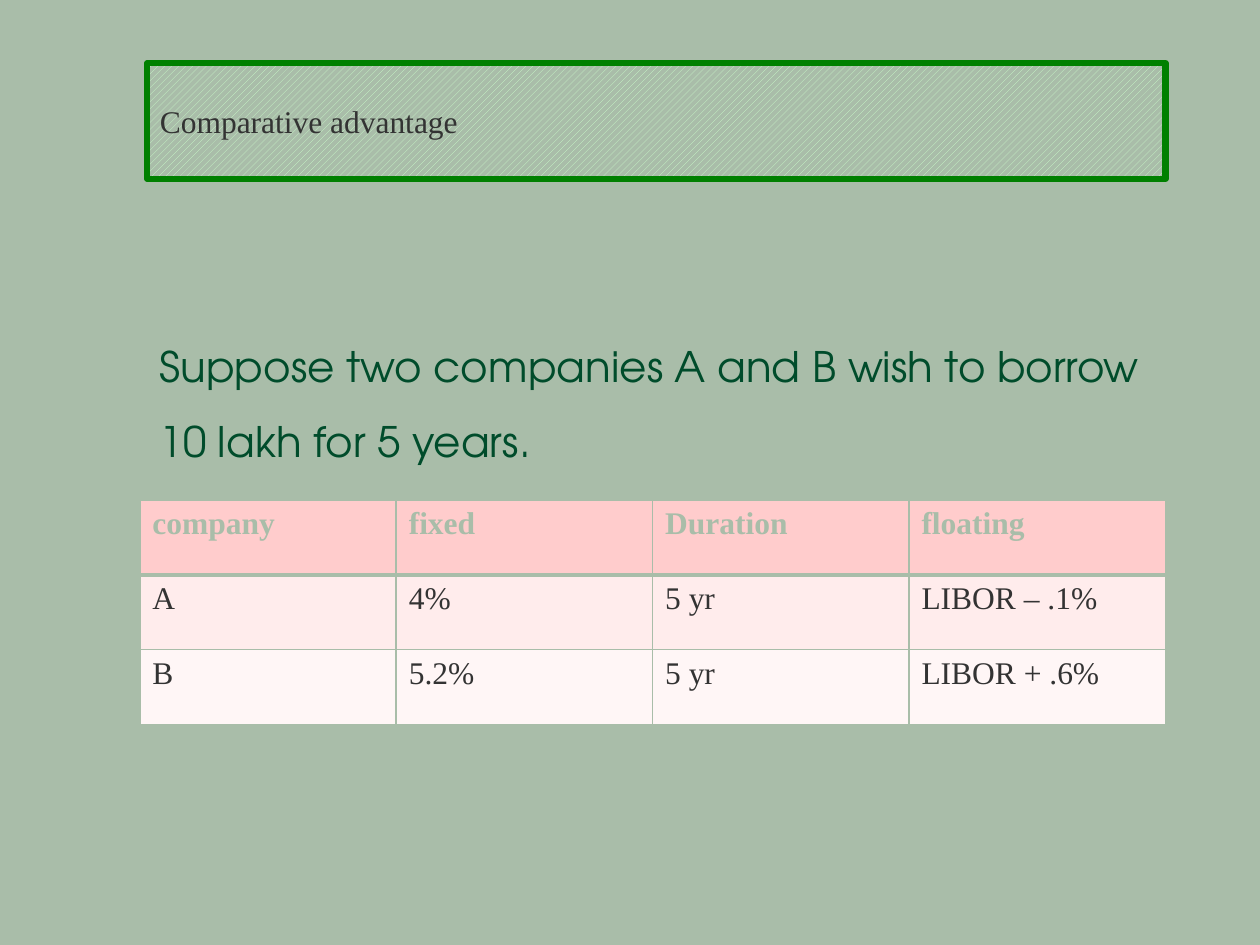
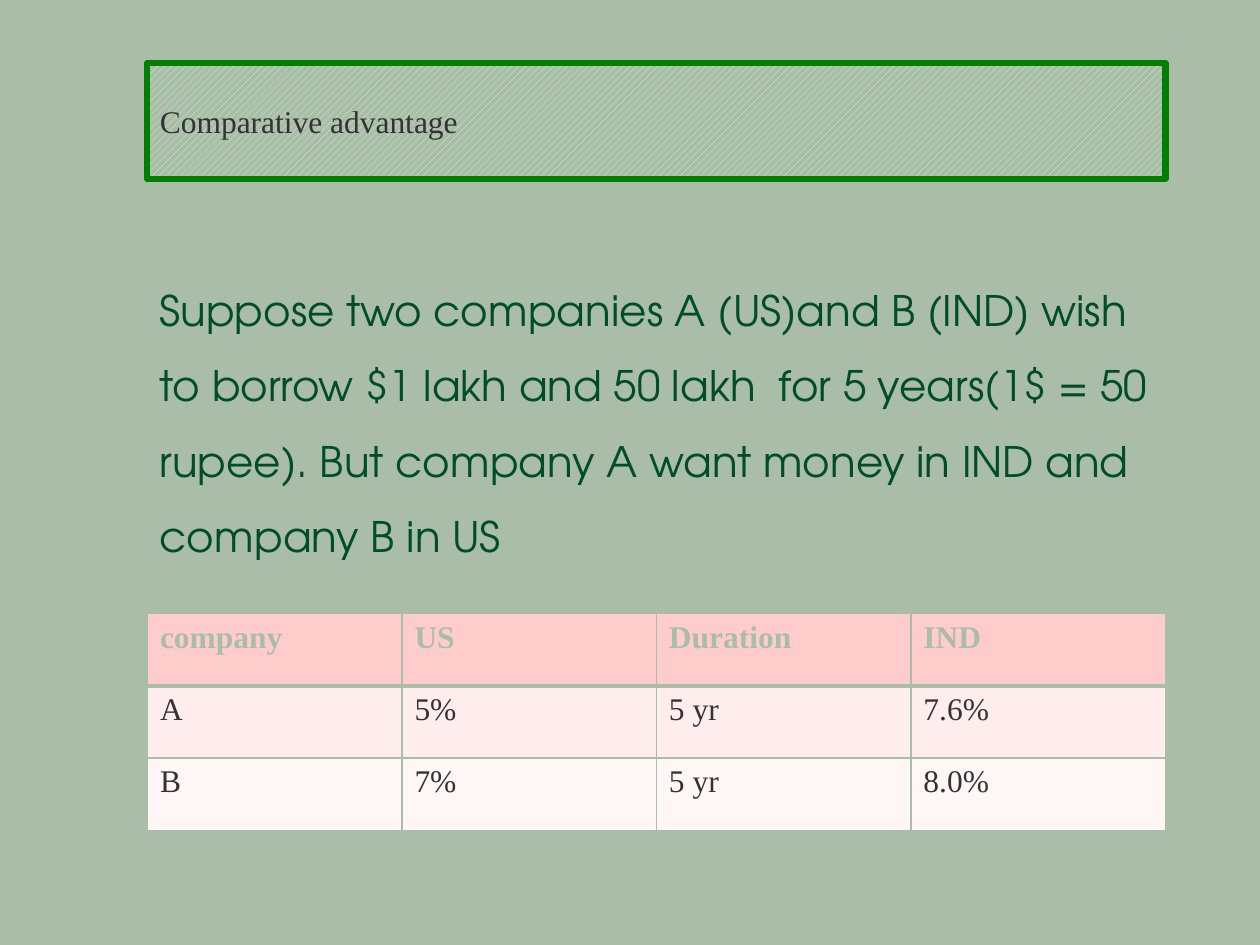
from lxml.etree import SubElement
from pptx import Presentation
from pptx.dml.color import RGBColor
from pptx.enum.dml import MSO_PATTERN
from pptx.enum.shapes import MSO_SHAPE
from pptx.enum.text import MSO_ANCHOR, PP_ALIGN
from pptx.oxml.ns import qn
from pptx.util import Inches, Pt

COLORS = {
    "background": "A9BDA9",
    "statement": "004C2B",
    "text": "333333",
    "frame": "008000",
    "hatch": "CCFFCC",
    "header": "FFCCCC",
    "odd_row": "FFECEC",
    "even_row": "FFF6F6",
}
STATEMENT_FONT = "TeX Gyre Adventor"
BODY_FONT = "Times New Roman"
LEFT, WIDTH = 1.17, 8.08


def rgb(name):
    return RGBColor.from_string(COLORS[name])


def style(p, font, size, color, bold=False):
    p.font.name = font
    p.font.size = Pt(size)
    p.font.color.rgb = rgb(color)
    p.font.bold = bold


def add_slide(prs):
    s = prs.slides.add_slide(prs.slide_layouts[6])
    s.background.fill.solid()
    s.background.fill.fore_color.rgb = rgb("background")
    return s


def add_statement(s, text, height):
    box = s.shapes.add_textbox(Inches(LEFT), Inches(1.83), Inches(WIDTH), Inches(height))
    tf = box.text_frame
    tf.word_wrap = True
    tf.vertical_anchor = MSO_ANCHOR.BOTTOM
    p = tf.paragraphs[0]
    p.text = text
    p.line_spacing = Pt(43)
    style(p, STATEMENT_FONT, 24, "statement")


def add_heading(s, text):
    sp = s.shapes.add_shape(MSO_SHAPE.RECTANGLE, Inches(LEFT), Inches(0.5), Inches(WIDTH), Inches(0.92))
    sp.shadow.inherit = False
    sp.fill.patterned()
    sp.fill.pattern = MSO_PATTERN.WIDE_UPWARD_DIAGONAL
    sp.fill.fore_color.rgb = rgb("hatch")
    sp.fill.back_color.rgb = rgb("background")
    sp.line.color.rgb = rgb("frame")
    sp.line.width = Pt(3.5)
    tf = sp.text_frame
    tf.vertical_anchor = MSO_ANCHOR.MIDDLE
    p = tf.paragraphs[0]
    p.text = text
    p.alignment = PP_ALIGN.LEFT
    style(p, BODY_FONT, 18, "text")


def set_borders(cell, top, bottom):
    tcPr = cell._tc.get_or_add_tcPr()
    for side, width in (("L", 1), ("R", 1), ("T", top), ("B", bottom)):
        ln = SubElement(tcPr, qn(f"a:ln{side}"), w=str(Pt(width)))
        fill = SubElement(ln, qn("a:solidFill"))
        SubElement(fill, qn("a:srgbClr"), val=COLORS["background"])


def add_rate_table(s, rows, left, top, width, height):
    frame = s.shapes.add_table(len(rows), len(rows[0]), Inches(left), Inches(top), Inches(width), Inches(height))
    fills = ("header", "odd_row", "even_row")
    for i, row in enumerate(rows):
        for j, text in enumerate(row):
            cell = frame.table.cell(i, j)
            set_borders(cell, 3 if i == 1 else 1, 3 if i == 0 else 1)
            cell.fill.solid()
            cell.fill.fore_color.rgb = rgb(fills[i])
            cell.text = text
            color = "background" if i == 0 else "text"
            style(cell.text_frame.paragraphs[0], BODY_FONT, 18, color, bold=i == 0)


def main():
    prs = Presentation()
    prs.slide_width, prs.slide_height = Inches(10), Inches(7.5)

    s = add_slide(prs)
    add_statement(s, "Suppose two companies A and B wish to borrow 10 lakh for 5 years.", 1.92)
    add_heading(s, "Comparative advantage")
    rates = [
        ("company", "fixed", "Duration", "floating"),
        ("A", "4%", "5 yr", "LIBOR – .1%"),
        ("B", "5.2%", "5 yr", "LIBOR + .6%"),
    ]
    add_rate_table(s, rates, 1.11, 3.97, 8.14, 1.78)

    s = add_slide(prs)
    add_statement(
        s,
        "Suppose two companies A (US)and B (IND) wish to borrow $1 lakh and 50 lakh  for 5 years"
        "(1$ = 50 rupee). But company A want money in IND and company B in US",
        2.67,
    )
    add_heading(s, "Comparative advantage")
    rates = [
        ("company", "US", "Duration", "IND"),
        ("A", "5%", "5 yr", "7.6%"),
        ("B", "7%", "5 yr", "8.0%"),
    ]
    add_rate_table(s, rates, LEFT, 4.87, WIDTH, 1.72)

    prs.save("out.pptx")


if __name__ == "__main__":
    main()
